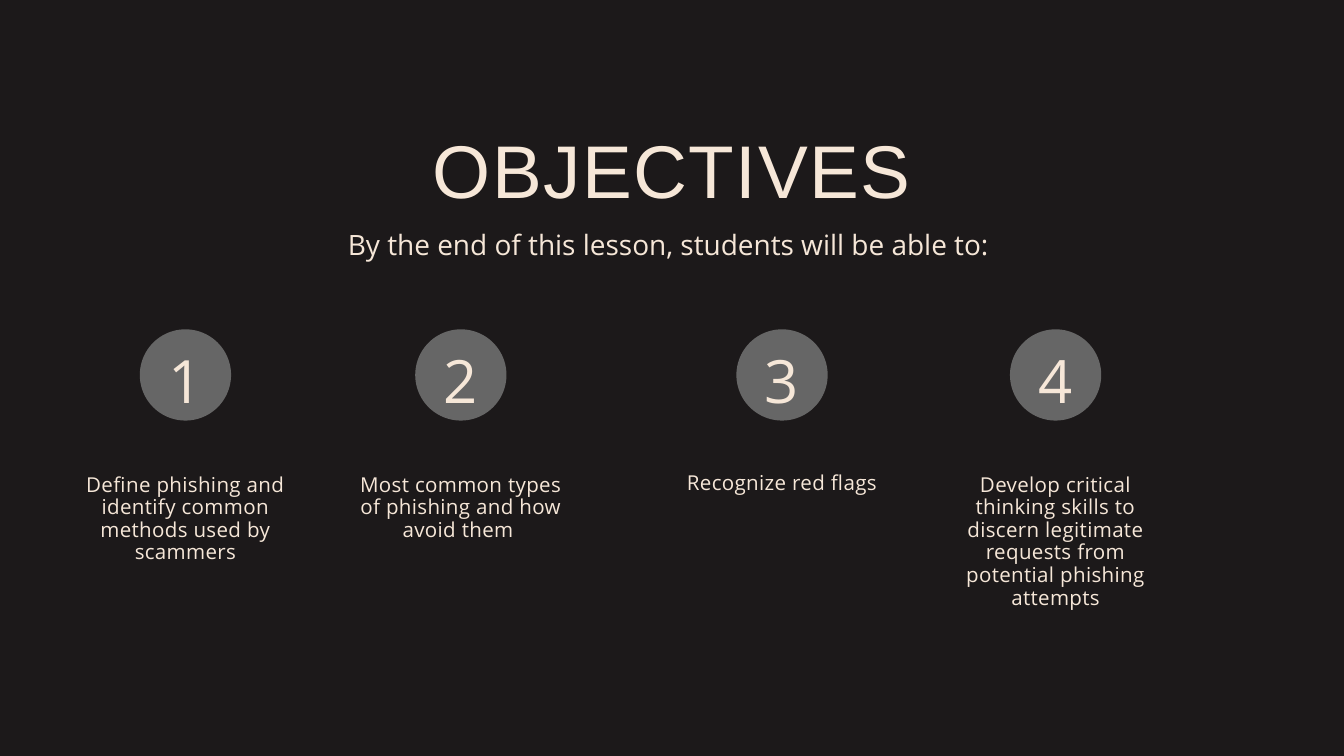
"""Build the lesson objectives slide with four numbered goals."""
from pptx import Presentation, util as u
from pptx.dml.color import RGBColor
from pptx.enum import shapes, text

CREAM, GREY, DARK = "F6E7D8", "666666", "1C191A"


def paint(fill, value):
    fill.solid()
    fill.fore_color.rgb = RGBColor.from_string(value)


def write(box, words, size, leading, font="Open Sans", tracking=0):
    frame = box.text_frame
    frame.word_wrap = True
    frame.auto_size = text.MSO_AUTO_SIZE.NONE
    frame.vertical_anchor = text.MSO_ANCHOR.TOP
    frame.margin_left = frame.margin_right = 0
    frame.margin_top = frame.margin_bottom = 0
    para = frame.paragraphs[0]
    para.alignment = text.PP_ALIGN.CENTER
    para.line_spacing = u.Pt(leading)
    span = para.add_run()
    span.text = words
    span.font.name = font
    span.font.size = u.Pt(size)
    paint(span.font.fill, CREAM)
    span.font._element.set("spc", str(tracking))


deck = Presentation()
deck.slide_width, deck.slide_height = u.Cm(50.8), u.Cm(28.58)
page = deck.slides.add_slide(deck.slide_layouts[5])
paint(page.background.fill, DARK)

title = page.shapes.title
title.left, title.top = u.Cm(10.31), u.Cm(4.7)
title.width, title.height = u.Cm(30.18), u.Cm(3.43)
write(title, "OBJECTIVES", 80, 96, font="Arial", tracking=160)

subtitle = page.shapes.add_textbox(u.Cm(11.91), u.Cm(8.38), u.Cm(27), u.Cm(1.42))
write(subtitle, "By the end of this lesson, students will be able to: ", 30, 42)

objectives = [
    (7.01, 17.91, 3.4, "Define phishing and identify common methods used by scammers"),
    (17.42, 17.91, 2.56, "Most common types of phishing and how avoid them "),
    (29.56, 17.86, 0.86, "Recognize red flags"),
    (39.9, 17.91, 5.11, "Develop critical thinking skills to discern legitimate "
                        "requests from potential phishing attempts"),
]
circle_size, goal_width = 3.45, 8.31

for number, (center, goal_top, goal_height, goal) in enumerate(objectives, 1):
    left = u.Cm(center - circle_size / 2)
    circle = page.shapes.add_shape(shapes.MSO_SHAPE.OVAL, left, u.Cm(12.45),
                                   u.Cm(circle_size), u.Cm(circle_size))
    circle.shadow.inherit = False
    paint(circle.fill, GREY)
    circle.line.fill.background()

    label = page.shapes.add_textbox(left, u.Cm(12.17), u.Cm(circle_size), u.Cm(3.33))
    write(label, str(number), 64, 100.5, tracking=320)

    box = page.shapes.add_textbox(u.Cm(center - goal_width / 2), u.Cm(goal_top),
                                  u.Cm(goal_width), u.Cm(goal_height))
    write(box, goal, 22, 24.2, tracking=40)

deck.save("out.pptx")
